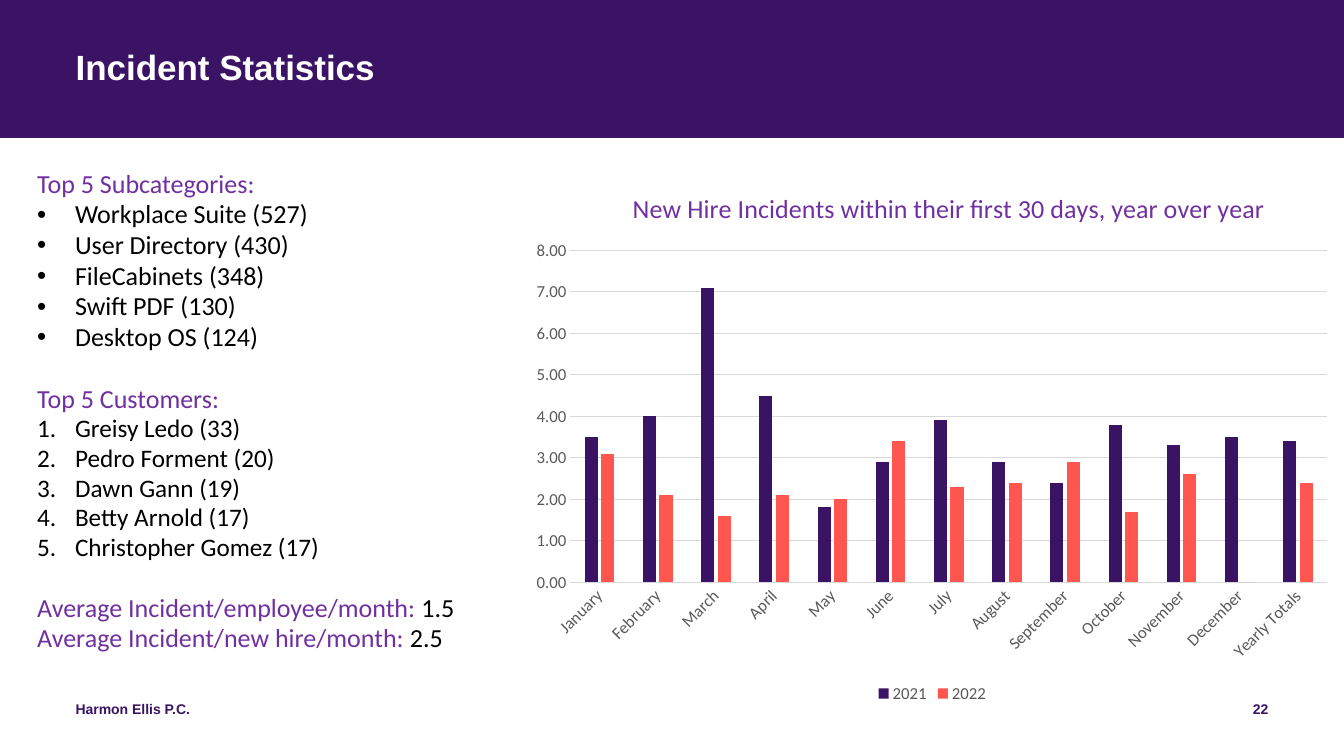
from dataclasses import dataclass

from lxml import etree
from pptx import Presentation
from pptx.chart.data import CategoryChartData
from pptx.dml.color import RGBColor
from pptx.enum.chart import XL_CHART_TYPE, XL_LEGEND_POSITION, XL_TICK_MARK
from pptx.enum.shapes import MSO_SHAPE
from pptx.enum.text import MSO_ANCHOR, MSO_AUTO_SIZE, PP_ALIGN
from pptx.oxml.ns import qn
from pptx.util import Pt

COLUMN = XL_CHART_TYPE.COLUMN_CLUSTERED
BOTTOM = XL_LEGEND_POSITION.BOTTOM
NO_TICK = XL_TICK_MARK.NONE
RECT = MSO_SHAPE.RECTANGLE
TOP = MSO_ANCHOR.TOP
FIXED = MSO_AUTO_SIZE.NONE
LEFT, RIGHT = PP_ALIGN.LEFT, PP_ALIGN.RIGHT

# Content
TITLE = "Incident Statistics"
FIRM, PAGE = "Harmon Ellis P.C.", "22"
TOPICS = ["Workplace Suite (527)", "User Directory (430)", "FileCabinets (348)",
          "Swift PDF (130)", "Desktop OS (124)"]
CLIENTS = ["Greisy Ledo (33)", "Pedro Forment (20)", "Dawn Gann (19)",
           "Betty Arnold (17)", "Christopher Gomez (17)"]
MEANS = [("Average Incident/employee/month: ", "1.5"),
         ("Average Incident/new hire/month: ", "2.5")]
HEADING = "New Hire Incidents within their first 30 days, year over year"
MONTHS = ["January", "February", "March", "April", "May", "June", "July", "August",
          "September", "October", "November", "December", "Yearly Totals"]
YEARS = {
    "2021": [3.5, 4, 7.1, 4.5, 1.8, 2.9, 3.9, 2.9, 2.4, 3.8, 3.3, 3.5, 3.4],
    "2022": [3.1, 2.1, 1.6, 2.1, 2, 3.4, 2.3, 2.4, 2.9, 1.7, 2.6, 0, 2.4],
}


@dataclass(frozen=True)
class Theme:
    plum: RGBColor = RGBColor(0x3B, 0x13, 0x65)
    violet: RGBColor = RGBColor(0x70, 0x30, 0xA0)
    coral: RGBColor = RGBColor(0xFF, 0x57, 0x50)
    white: RGBColor = RGBColor(0xFF, 0xFF, 0xFF)
    black: RGBColor = RGBColor(0, 0, 0)
    gray: RGBColor = RGBColor(0x59, 0x59, 0x59)
    rule: RGBColor = RGBColor(0xD9, 0xD9, 0xD9)
    head: str = "Arial"
    body: str = "Calibri"
    title: float = 25
    large: float = 18.6
    item: float = 18
    label: float = 12
    small: float = 10


T = Theme()


def style(font, size, color, face=T.body, bold=False):
    font.size, font.name, font.bold = Pt(size), face, bold
    font.color.rgb = color


def write(para, text, size=T.large, color=T.black, face=T.body, bold=False,
          align=LEFT, lead=1.0, before=0, after=0):
    para.alignment, para.line_spacing = align, lead
    para.space_before, para.space_after = Pt(before), Pt(after)
    run = para.add_run()
    run.text = text
    style(run.font, size, color, face, bold)


def place(shape, left, top, width, height):
    shape.left, shape.top = Pt(left), Pt(top)
    shape.width, shape.height = Pt(width), Pt(height)


def setup(frame, inset):
    frame.word_wrap, frame.auto_size, frame.vertical_anchor = True, FIXED, TOP
    if not inset:
        frame.margin_left = frame.margin_right = 0
        frame.margin_top = frame.margin_bottom = 0


def mark(para, tag, **attrs):
    """Set the bullet of a paragraph, with a hanging indent if it has one."""
    props = para._p.get_or_add_pPr()
    hang = 0 if tag == "a:buNone" else Pt(27)
    props.set("marL", str(hang))
    props.set("indent", str(-hang))
    if tag == "a:buChar":
        etree.SubElement(props, qn("a:buFont"), typeface=T.head)
    etree.SubElement(props, qn(tag), **attrs)


def layout(node, spot, **parts):
    """Fix the place of a chart part as shares of the chart area."""
    for old in node.findall(qn("c:layout")):
        node.remove(old)
    box = etree.Element(qn("c:layout"))
    node.insert(spot, box)
    manual = etree.SubElement(box, qn("c:manualLayout"))
    for name, val in parts.items():
        etree.SubElement(manual, qn("c:" + name), val=str(val))


deck = Presentation()
deck.slide_width, deck.slide_height = Pt(960), Pt(540)
slide = deck.slides.add_slide(deck.slide_layouts[1])
shapes = slide.shapes
title, body = slide.placeholders

# Title band, behind the title
band = shapes.add_shape(RECT, 0, 0, Pt(960), Pt(98.5))
band.shadow.inherit = False
band.fill.solid()
band.fill.fore_color.rgb = T.plum
band.line.fill.background()
title.element.addprevious(band.element)

place(title, 54, 36, 852, 58)
setup(title.text_frame, False)
write(title.text_frame.paragraphs[0], TITLE, T.title, T.white, T.head, True, lead=0.9)

# Footer
for text, left, width, align in [(FIRM, 54, 324, LEFT), (PAGE, 690, 216, RIGHT)]:
    foot = shapes.add_textbox(Pt(left), Pt(500.4), Pt(width), Pt(28.8)).text_frame
    setup(foot, False)
    write(foot.paragraphs[0], text, T.small, T.plum, T.head, True, align, after=6)

# Lists: runs, size, bullet, gap before
NONE = ("a:buNone", {})
DOT = ("a:buChar", {"char": "•"})
NUMBER = ("a:buAutoNum", {"type": "arabicPeriod"})
rows = [([("Top 5 Subcategories:", T.violet)], T.large, NONE, 0)]
rows += [([(text, T.black)], T.large, DOT, 0) for text in TOPICS]
rows += [([("Top 5 Customers:", T.violet)], T.large, NONE, 22.2)]
rows += [([(text, T.black)], T.item, NUMBER, 0) for text in CLIENTS]
rows += [([(text, T.violet), (mean, T.black)], T.large, NONE, 0 if i else 21.6)
         for i, (text, mean) in enumerate(MEANS)]

place(body, 19.4, 117, 353.5, 363.6)
frame = body.text_frame
setup(frame, True)
for i, (runs, size, (tag, attrs), gap) in enumerate(rows):
    para = frame.add_paragraph() if i else frame.paragraphs[0]
    for text, color in runs:
        write(para, text, size, color, lead=0.98, before=gap)
    mark(para, tag, **attrs)

# Chart
data = CategoryChartData(number_format="0.00")
data.categories = MONTHS
for year, vals in YEARS.items():
    data.add_series(year, vals)
chart = shapes.add_chart(COLUMN, Pt(372.2), Pt(116.6), Pt(587.5), Pt(388.8), data).chart
style(chart.font, T.small, T.black)

chart.has_title = True
write(chart.chart_title.text_frame.paragraphs[0], HEADING, T.large, T.violet)
chart.chart_title.include_in_layout = False
layout(chart.chart_title._element, 1, xMode="edge", yMode="edge", x=0.13, y=0.04)
layout(chart.plots[0]._element.getparent(), 0, layoutTarget="inner", xMode="edge",
       yMode="edge", x=0.06, y=0.16, w=0.92, h=0.61)

chart.has_legend = True
chart.legend.position = BOTTOM
chart.legend.include_in_layout = False
style(chart.legend.font, T.label, T.gray)

plot = chart.plots[0]
plot.gap_width, plot.overlap, plot.vary_by_categories = 219, -27, False
for series, color in zip(plot.series, (T.plum, T.coral)):
    series.format.fill.solid()
    series.format.fill.fore_color.rgb = color
    series.invert_if_negative = False

# Axes
months, scale = chart.category_axis, chart.value_axis
for axis in (months, scale):
    axis.major_tick_mark = axis.minor_tick_mark = NO_TICK
    style(axis.tick_labels.font, T.label, T.gray)
scale.minimum_scale, scale.maximum_scale, scale.major_unit = 0, 8, 1
scale.tick_labels.number_format = "0.00"
scale.tick_labels.number_format_is_linked = False
scale.has_major_gridlines = True
scale.format.line.fill.background()
for line in (months.format.line, scale.major_gridlines.format.line):
    line.width = Pt(0.75)
    line.color.rgb = T.rule
turn = months._element.find(qn("c:txPr")).find(qn("a:bodyPr"))
turn.set("rot", str(-45 * 60000))
turn.set("vert", "horz")

deck.save("out.pptx")
